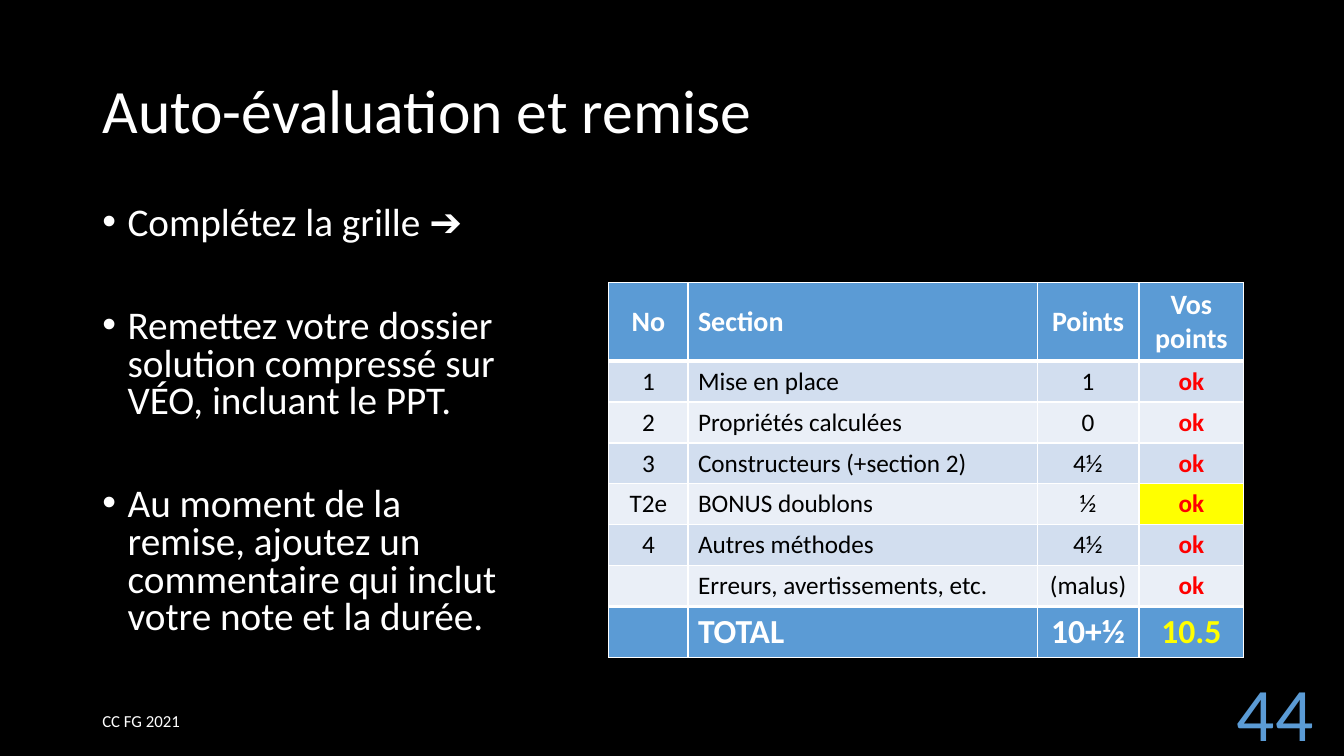
from lxml import etree
from pptx import Presentation
from pptx.dml.color import RGBColor
from pptx.enum.text import MSO_ANCHOR, MSO_AUTO_SIZE, PP_ALIGN
from pptx.oxml.ns import qn
from pptx.util import Pt

LEFT, CENTER, RIGHT = PP_ALIGN.LEFT, PP_ALIGN.CENTER, PP_ALIGN.RIGHT
TOP, MIDDLE = MSO_ANCHOR.TOP, MSO_ANCHOR.MIDDLE
NO_AUTOFIT = MSO_AUTO_SIZE.NONE

FONT = "Calibri"
WHITE, BLACK, BLUE = "FFFFFF", "000000", "5B9BD5"
RED, YELLOW = "FF0000", "FFFF00"
BANDS = ("D2DEEF", "EAEFF7")

STEPS = [
    "Complétez la grille ➔",
    "Remettez votre dossier solution compressé sur VÉO, incluant le PPT.",
    "Au moment de la remise, ajoutez un commentaire qui inclut votre note et la durée.",
]
GRID = [
    ("No", "Section", "Points", "Vos points"),
    ("1", "Mise en place", "1", "ok"),
    ("2", "Propriétés calculées", "0", "ok"),
    ("3", "Constructeurs (+section 2)", "4½", "ok"),
    ("T2e", "BONUS doublons", "½", "ok"),
    ("4", "Autres méthodes", "4½", "ok"),
    ("", "Erreurs, avertissements, etc.", "(malus)", "ok"),
    ("", "TOTAL", "10+½", "10.5"),
]
COLUMN_WIDTHS = (56.5, 249.5, 72.7, 74.9)
HEADER_HEIGHT, ROW_HEIGHT, TOTAL_HEIGHT = 56, 29.2, 36
SECTION_COLUMN, SCORE_COLUMN = 1, 3
BONUS_ROW, TOTAL_ROW = 4, len(GRID) - 1


def color(value):
    """Turn a hex string into a colour."""
    return RGBColor.from_string(value)


def style(paragraph, size, ink=WHITE, bold=False, align=LEFT):
    """Set the font and alignment of a paragraph."""
    font = paragraph.font
    font.name, font.size, font.bold = FONT, Pt(size), bold
    font.color.rgb = color(ink)
    paragraph.alignment = align


def place(shape, left, top, width, height, anchor=MIDDLE):
    """Position a text shape and return its wrapped text frame."""
    shape.left, shape.top = Pt(left), Pt(top)
    shape.width, shape.height = Pt(width), Pt(height)
    frame = shape.text_frame
    frame.word_wrap = True
    frame.auto_size = NO_AUTOFIT
    frame.vertical_anchor = anchor
    return frame


def add_title(page, text):
    """Fill the title placeholder."""
    frame = place(page.shapes.title, 66, 28.8, 828, 104.4)
    frame.text = text
    paragraph = frame.paragraphs[0]
    style(paragraph, 44)
    paragraph.line_spacing = 0.9


def add_steps(page, steps):
    """Fill the body placeholder with widely spaced bullets."""
    frame = place(page.placeholders[1], 66, 144, 317.5, 342.7, TOP)
    frame.text = "\n".join(steps)
    for index, paragraph in enumerate(frame.paragraphs):
        style(paragraph, 28)
        paragraph.line_spacing = 0.8
        paragraph.space_before = Pt(46.6 if index else 10)
        properties = paragraph._p.get_or_add_pPr()
        properties.set("marL", str(Pt(18)))
        properties.set("indent", str(Pt(-18)))
        bullet = etree.Element(qn("a:buChar"), char="•")
        properties.insert_element_before(bullet, "a:tabLst", "a:defRPr", "a:extLst")


def add_label(page, text, bounds, size, ink=WHITE, align=LEFT):
    """Add a one-line text box."""
    frame = place(page.shapes.add_textbox(0, 0, 0, 0), *bounds)
    frame.text = text
    style(frame.paragraphs[0], size, ink, align=align)


def set_borders(cell, top=1, bottom=1):
    """Draw white lines around a cell, with the given top and bottom widths."""
    properties = cell._tc.get_or_add_tcPr()
    for side, width in (("L", 1), ("R", 1), ("T", top), ("B", bottom)):
        line = etree.SubElement(properties, qn("a:ln" + side), w=str(Pt(width)))
        fill = etree.SubElement(line, qn("a:solidFill"))
        etree.SubElement(fill, qn("a:srgbClr"), val=WHITE)


def cell_look(row, column):
    """Return fill, text colour, size and boldness for a place in the grid."""
    is_score = column == SCORE_COLUMN
    if row == 0:
        return BLUE, WHITE, 20, True
    if row == TOTAL_ROW:
        return BLUE, YELLOW if is_score else WHITE, 24, True
    band = YELLOW if is_score and row == BONUS_ROW else BANDS[(row - 1) % 2]
    return band, RED if is_score else BLACK, 18, is_score


def add_grid(page):
    """Add the self-evaluation table."""
    heights = [HEADER_HEIGHT] + [ROW_HEIGHT] * (len(GRID) - 2) + [TOTAL_HEIGHT]
    table = page.shapes.add_table(
        len(GRID), len(COLUMN_WIDTHS), Pt(434.9), Pt(201.8),
        Pt(sum(COLUMN_WIDTHS)), Pt(sum(heights))).table
    table.horz_banding = False
    table.last_row = True
    for column, width in zip(table.columns, COLUMN_WIDTHS):
        column.width = Pt(width)
    for row, height in zip(table.rows, heights):
        row.height = Pt(height)
    for row, texts in enumerate(GRID):
        for column, text in enumerate(texts):
            cell = table.cell(row, column)
            fill, ink, size, bold = cell_look(row, column)
            set_borders(cell, top=3 if row == TOTAL_ROW else 1,
                        bottom=3 if row == 0 else 1)
            cell.fill.solid()
            cell.fill.fore_color.rgb = color(fill)
            cell.vertical_anchor = MIDDLE
            cell.text = text
            align = LEFT if column == SECTION_COLUMN else CENTER
            style(cell.text_frame.paragraphs[0], size, ink, bold, align)


def main():
    """Build the slide and save it."""
    deck = Presentation()
    deck.slide_width, deck.slide_height = Pt(960), Pt(540)
    page = deck.slides.add_slide(deck.slide_layouts[1])
    page.background.fill.solid()
    page.background.fill.fore_color.rgb = color(BLACK)
    add_title(page, "Auto-évaluation et remise")
    add_steps(page, STEPS)
    add_label(page, "CC FG\u00a02021", (66, 500.5, 216, 28.8), 12)
    add_label(page, "44", (678.2, 486.7, 267.1, 43.2), 54, BLUE, RIGHT)
    add_grid(page)
    deck.save("out.pptx")


main()
